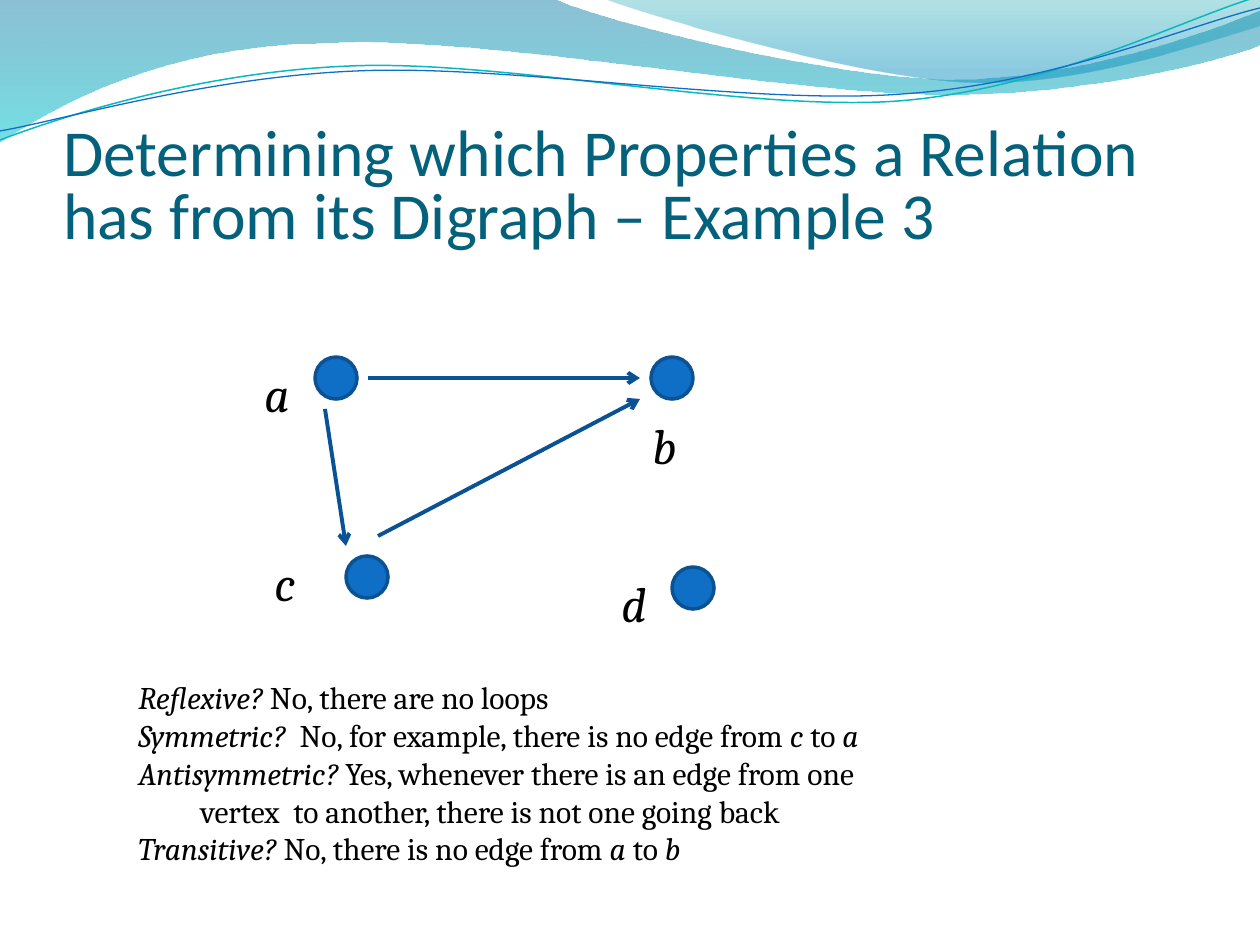
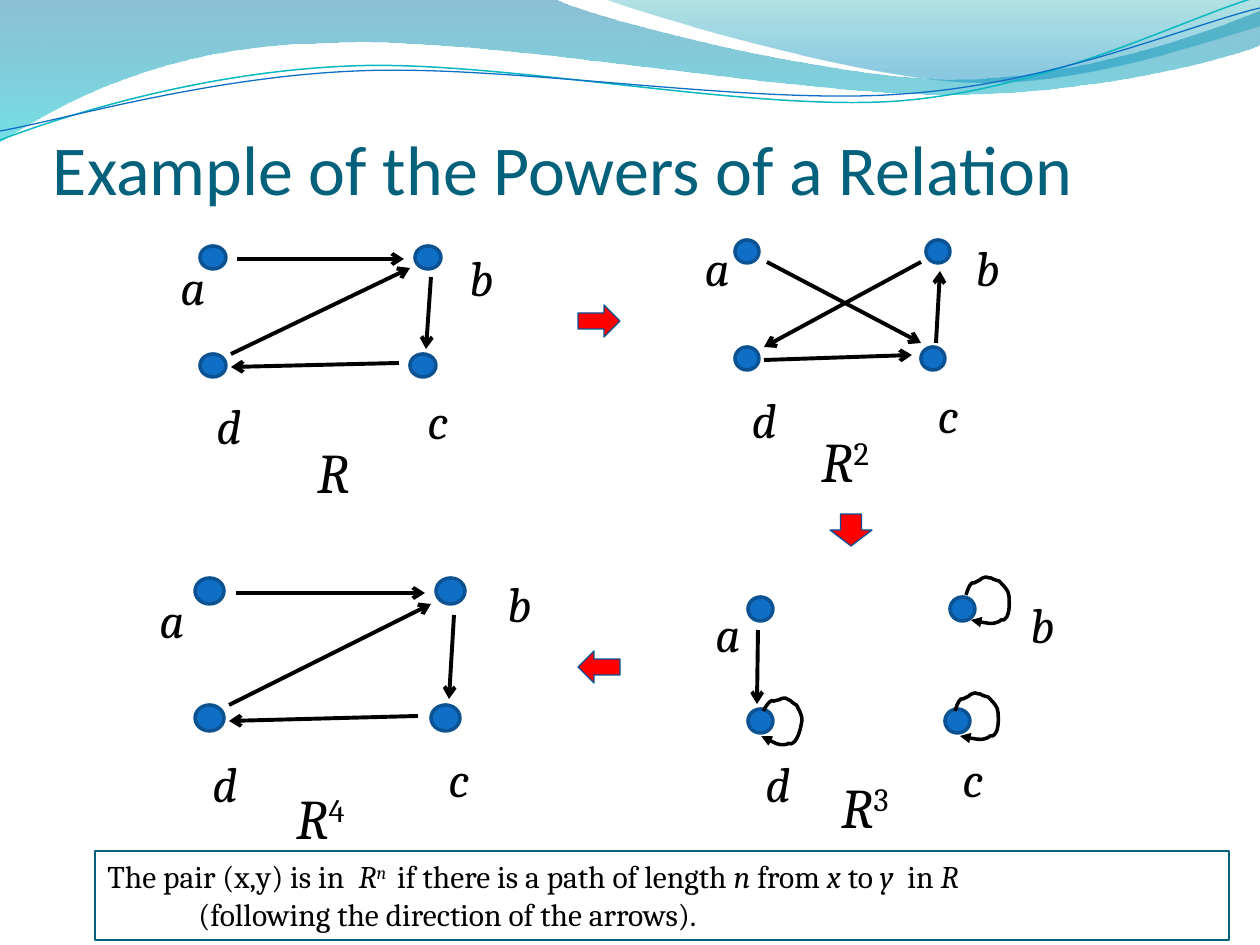
from lxml import etree
from pptx import Presentation
from pptx import util as u
from pptx.dml.color import RGBColor
from pptx.enum import shapes, text
from pptx.oxml.ns import qn

PX = 914400 / 126
TITLE_TEAL = RGBColor(0x04, 0x61, 0x7B)
NODE_BLUE = RGBColor(0x0F, 0x6F, 0xC6)
NODE_EDGE = RGBColor(0x0B, 0x52, 0x92)
ARROW_BLUE = RGBColor(0x09, 0x52, 0x95)
WAVE_AQUA = RGBColor(0x0A, 0xB8, 0xBF)
BLACK = RGBColor(0, 0, 0)
RED = RGBColor(0xFF, 0, 0)

WAVE_BANDS = [
    ([(0, 0), (554, -1), (600, 21, 837, 79, 955, 79), (1075, 79, 1207, 33, 1260, 11),
      (1261, 45), (1239, 55, 1096, 96, 940, 94), (784, 94, 481, 35, 324, 43),
      (163, 45, 58, 105, -1, 142)],
     [(0, RGBColor(0x00, 0x74, 0xA1), 45), (1, RGBColor(0x00, 0xC6, 0xCF), 55)]),
    ([(604, -1), (641, 14, 859, 78, 969, 82), (1079, 87, 1211, 40, 1260, 26), (1260, 0)],
     [(0, RGBColor(0x00, 0xA1, 0xA9), 30), (0.8, RGBColor(0x00, 0x8B, 0xBF), 45)]),
]
WAVE_LINES = [
    ([(0, 140), (60, 117, 199, 72, 349, 66), (498, 59, 747, 112, 898, 101),
      (1050, 89, 1182, 19, 1257, -3)], WAVE_AQUA, 0.85),
    ([(0, 131), (59, 121, 207, 77, 357, 71), (508, 64, 752, 106, 903, 94),
      (1053, 84, 1186, 26, 1260, 8)], NODE_BLUE, 0.75),
]
LOOP = [(0, 18), (1, 15, 3, 8, 6, 6), (8, 6, 9, 6, 10, 5), (11, 5, 11, 4, 14, 3),
        (15, 1, 20, 0, 20, 0), (23, 1, 24, 1, 25, 1), (28, 3, 33, 4, 33, 4),
        (37, 8, 40, 11, 42, 15), (43, 19), (43, 21, 45, 37, 39, 42),
        (39, 43, 37, 43, 35, 43), (34, 44, 33, 45, 32, 45), (25, 48, 19, 45, 13, 45), (5, 43)]

EXAMPLE = {
    "node_size": (42, 42), "label_size": (53, 72),
    "nodes": [(315, 357), (651, 357), (346, 556), (672, 567)],
    "labels": [(252, 357), (640, 409), (262, 546), (609, 567)],
    "edges": [(368, 378, 640, 378), (325, 409, 346, 546), (378, 536, 640, 399)],
}
POWERS = [
    {"power": "", "name_box": (305, 431, 26, 81),
     "node_size": (26, 23), "label_size": (26, 30),
     "nodes": [(200, 246), (415, 246), (410, 354), (200, 354)],
     "labels": [(168, 250), (457, 241), (415, 384), (204, 389)],
     "edges": [(237, 259, 404, 259), (231, 354, 410, 268),
               (431, 277, 426, 349), (399, 363, 231, 367)]},
    {"power": "2", "name_box": (809, 420, 91, 81),
     "node_size": (24, 23), "label_size": (24, 30),
     "nodes": [(735, 240), (926, 240), (921, 347), (735, 347)],
     "labels": [(693, 231), (964, 231), (926, 378), (740, 383)],
     "edges": [(921, 262, 764, 347), (936, 343, 940, 271),
               (764, 360, 912, 355), (767, 262, 921, 343)]},
    {"power": "3", "name_box": (829, 766, 103, 81),
     "node_size": (25, 24), "label_size": (25, 32),
     "nodes": [(748, 597), (950, 597), (945, 709), (748, 709)],
     "labels": [(703, 597), (1018, 588), (950, 742), (753, 747)],
     "edges": [(758, 630, 757, 704)]},
    {"power": "4", "name_box": (284, 777, 141, 81),
     "node_size": (29, 26), "label_size": (29, 37),
     "nodes": [(195, 578), (436, 578), (431, 705), (195, 705)],
     "labels": [(147, 583), (495, 567), (436, 742), (200, 747)],
     "edges": [(236, 593, 425, 593), (229, 705, 431, 604),
               (454, 615, 449, 699), (418, 716, 229, 721)]},
]
LOOP_BOXES = [(966, 577, 45, 48, 0), (955, 693, 45, 48, 0), (761, 698, 42, 48, 14.7)]
STEPS = [(shapes.MSO_SHAPE.RIGHT_ARROW, 578, 305, 0),
         (shapes.MSO_SHAPE.DOWN_ARROW, 830, 514, 0),
         (shapes.MSO_SHAPE.RIGHT_ARROW, 578, 651, 180)]

ANSWERS = [
    (0, [("Reflexive?", "i"), (" No, there are no loops", "")]),
    (0, [("Symmetric?", "i"), ("  No, for example, there is no edge from ", ""),
         ("c", "i"), (" to ", ""), ("a", "i")]),
    (0, [("Antisymmetric?", "i"), (" Yes, whenever there is an edge from one", "")]),
    (62, [("vertex  to another, there is not one going back", "")]),
    (0, [("Transitive? ", "i"), ("No, there is no edge from ", ""),
         ("a", "i"), (" to ", ""), ("b", "i")]),
]
PATH_RULE = [
    (0, [("The pair (x,y) is in  ", ""), ("R", "i"), ("n ", "i^"),
         (" if there is a path of length ", ""), ("n", "i"), (" from ", ""), ("x", "i"),
         (" to ", ""), ("y", "i"), ("  in ", ""), ("R", "i")]),
    (91, [("(following the direction of the arrows).", "")]),
]


def px(*lengths):
    return [round(n * PX) for n in lengths]


def add_outline(slide, outline, close):
    start, *pieces = outline
    corners = [px(*piece[i:i + 2]) for piece in pieces for i in range(0, len(piece), 2)]
    builder = slide.shapes.build_freeform(*px(*start))
    builder.add_line_segments(corners, close=close)
    outlined = builder.convert_to_shape()
    outlined.shadow.inherit = False
    segments = iter(list(outlined.element.iter(qn("a:lnTo"))))
    for piece in pieces:
        first = next(segments)
        if len(piece) == 6:
            first.tag = qn("a:cubicBezTo")
            for _ in range(2):
                control = next(segments)
                first.append(control[0])
                control.getparent().remove(control)
    return outlined


def set_line(line, color, width, arrow=None):
    line.color.rgb = color
    line.width = u.Pt(width)
    if arrow:
        etree.SubElement(line._get_or_add_ln(), qn("a:tailEnd"), type=arrow)


def add_curve(slide, outline, color, width, arrow=None):
    curve = add_outline(slide, outline, False)
    curve.fill.background()
    set_line(curve.line, color, width, arrow)
    return curve


def add_waves(slide, master):
    waves = []
    for outline, stops in WAVE_BANDS:
        band = add_outline(slide, outline, True)
        band.line.fill.background()
        band.fill.gradient()
        band.fill.gradient_angle = 270
        for stop, (position, color, _) in zip(band.fill.gradient_stops, stops):
            stop.position = position
            stop.color.rgb = color
        for tint, (_, _, alpha) in zip(band.element.iter(qn("a:srgbClr")), stops):
            etree.SubElement(tint, qn("a:alpha"), val=str(alpha * 1000))
        waves.append(band)
    waves += [add_curve(slide, *wave_line) for wave_line in WAVE_LINES]
    for place, wave in enumerate(waves, 2):
        master.shapes.element.insert(place, wave.element)


def set_title(slide, words, left, top, size, spacing):
    title = slide.shapes.title
    title.left, title.top, title.width, title.height = px(left, top, 1134, 158)
    frame = title.text_frame
    frame.text = words
    frame.auto_size = text.MSO_AUTO_SIZE.NONE
    frame.vertical_anchor = text.MSO_ANCHOR.BOTTOM
    frame.margin_left = frame.margin_right = frame.margin_bottom = 0
    frame.margin_top = u.Inches(0.05)
    heading = frame.paragraphs[0]
    heading.alignment = text.PP_ALIGN.LEFT
    heading.line_spacing = spacing
    heading.font.name, heading.font.size = "Calibri", u.Pt(size)
    heading.font.color.rgb = TITLE_TEAL


def add_words(slide, box, lines, size):
    words = slide.shapes.add_textbox(*px(*box))
    frame = words.text_frame
    frame.word_wrap = True
    frame.auto_size = text.MSO_AUTO_SIZE.SHAPE_TO_FIT_TEXT
    for number, (indent, parts) in enumerate(lines):
        line = frame.add_paragraph() if number else frame.paragraphs[0]
        line.font.name, line.font.size = "Cambria", u.Pt(size)
        line.font.color.rgb = BLACK
        if indent:
            line._p.get_or_add_pPr().set("marL", str(px(indent)[0]))
        for wording, style in parts:
            run = line.add_run()
            run.text = wording
            run.font.italic = "i" in style
            if "^" in style:
                run.font._element.set("baseline", "30000")
    return words


def add_digraph(slide, graph, edge_color):
    for corner in graph["nodes"]:
        node = slide.shapes.add_shape(shapes.MSO_SHAPE.OVAL, *px(*corner, *graph["node_size"]))
        node.shadow.inherit = False
        node.fill.solid()
        node.fill.fore_color.rgb = NODE_BLUE
        set_line(node.line, NODE_EDGE, 2)
    for letter, corner in zip("abcd", graph["labels"]):
        add_words(slide, (*corner, *graph["label_size"]), [(0, [(letter, "i")])], 28)
    for ends in graph["edges"]:
        edge = slide.shapes.add_connector(shapes.MSO_CONNECTOR.STRAIGHT, *px(*ends))
        set_line(edge.line, edge_color, 2.25, "arrow")
        etree.SubElement(edge.element.spPr, qn("a:effectLst"))


prs = Presentation()
prs.slide_width, prs.slide_height = px(1260, 945)
example, powers = [prs.slides.add_slide(prs.slide_layouts[5]) for _ in range(2)]
add_waves(example, prs.slide_master)

set_title(example, "Determining which Properties a Relation has from its Digraph – Example 3",
          63, 94, 37.5, 0.8)
add_digraph(example, EXAMPLE, ARROW_BLUE)
add_words(example, (126, 672, 913, 204), ANSWERS, 18)

set_title(powers, "Example of the Powers of a Relation", 53, 52, 40, 1)
for graph in POWERS:
    add_digraph(powers, graph, BLACK)
    name = [("R", "i")] + ([(graph["power"], "^")] if graph["power"] else [])
    add_words(powers, graph["name_box"], [(0, name)], 32)
for kind, left, top, turn in STEPS:
    step = powers.shapes.add_shape(kind, *px(left, top, 42, 32))
    step.rotation = turn
    step.shadow.inherit = False
    step.fill.solid()
    step.fill.fore_color.rgb = RED
    set_line(step.line, ARROW_BLUE, 0.75)
rule = add_words(powers, (95, 851, 1134, 89), PATH_RULE, 18)
set_line(rule.line, TITLE_TEAL, 0.75)
for *box, turn in LOOP_BOXES:
    loop = add_curve(powers, LOOP, BLACK, 2, "triangle")
    loop.left, loop.top, loop.width, loop.height = px(*box)
    loop.rotation = turn

prs.save("out.pptx")
